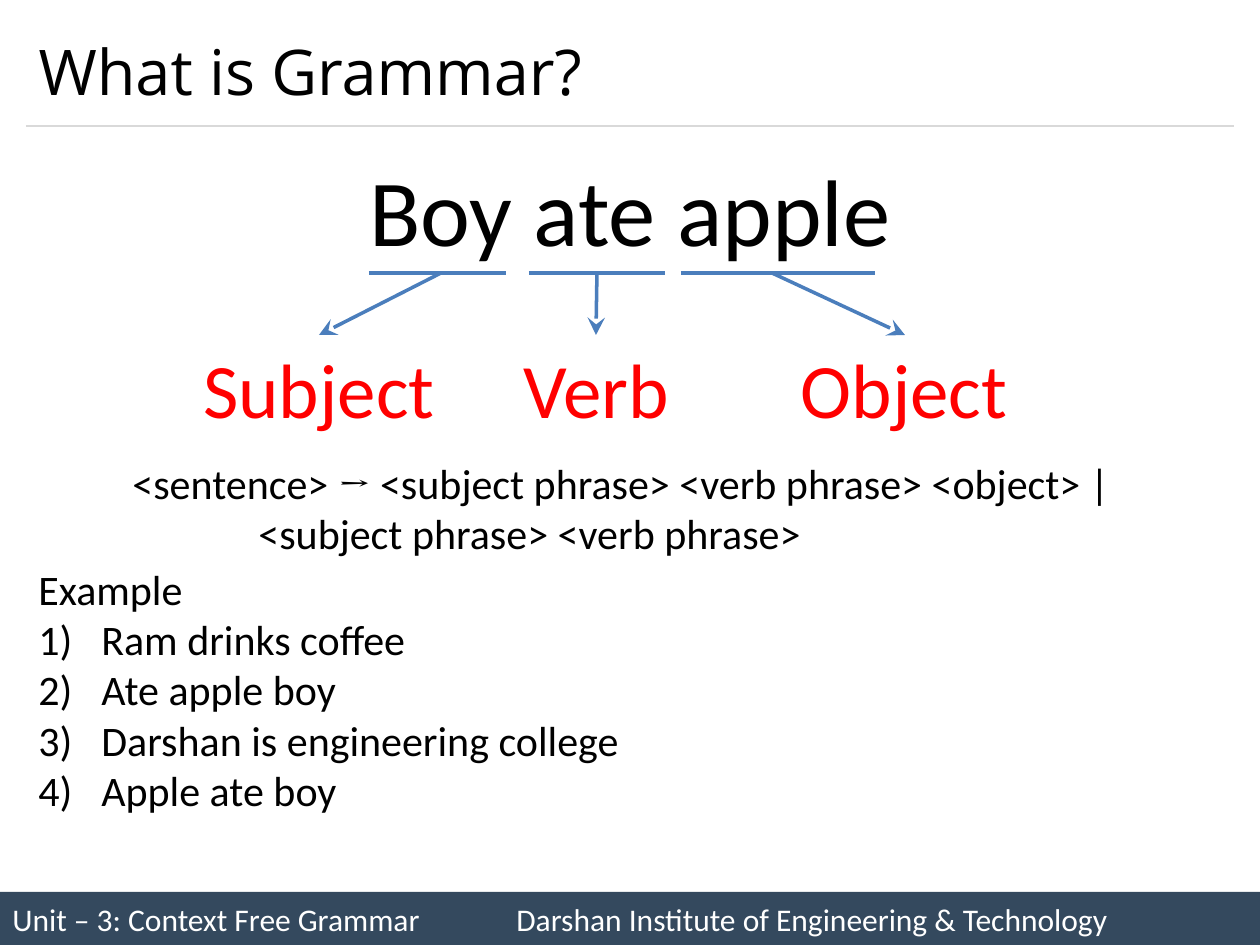
from lxml.etree import SubElement
from pptx import Presentation
from pptx.dml.color import RGBColor
from pptx.enum.shapes import MSO_CONNECTOR, MSO_SHAPE
from pptx.enum.text import MSO_ANCHOR, PP_ALIGN
from pptx.oxml.ns import qn
from pptx.util import Emu, Pt

PX = 914400 / 126
COLOURS = {"text": "000000", "role": "FF0000", "arrow": "4B7EBC",
           "rule": "D9D9D9", "footer": "34495E", "light": "FFFFFF"}
TITLE_FONT, BODY_FONT, SYMBOL_FONT = "Open Sans", "Calibri", "Cambria"
WORD_LINE_Y, ARROW_END_Y, ROLE_Y = 273, 335, 335


def px(*lengths):
    """Turn pixel lengths into EMU."""
    return [Emu(round(length * PX)) for length in lengths]


class SlideWriter:
    """Draws styled elements on one page."""

    def __init__(self, page):
        self.page = page

    def span(self, para, text, size, colour="text", font=BODY_FONT):
        run = para.add_run()
        run.text = text
        run.font.size = Pt(size)
        run.font.name = font
        run.font.color.rgb = RGBColor.from_string(COLOURS[colour])

    def title(self, text, place):
        title = self.page.shapes.title
        title.left, title.top, title.width, title.height = px(*place)
        title.text_frame.vertical_anchor = MSO_ANCHOR.MIDDLE
        para = title.text_frame.paragraphs[0]
        para.alignment = PP_ALIGN.LEFT
        self.span(para, text, 36, font=TITLE_FONT)

    def footer(self, text, place):
        bar = self.page.shapes.add_shape(MSO_SHAPE.RECTANGLE, *px(*place))
        bar.shadow.inherit = False
        bar.fill.solid()
        bar.fill.fore_color.rgb = RGBColor.from_string(COLOURS["footer"])
        bar.line.fill.background()
        bar.text_frame.vertical_anchor = MSO_ANCHOR.MIDDLE
        para = bar.text_frame.paragraphs[0]
        para.alignment = PP_ALIGN.LEFT
        self.span(para, text, 18, "light")

    def text(self, lines, place, size, colour="text", align=PP_ALIGN.LEFT, wrap=False):
        """Add a box; each line is a list of (text, font) pairs."""
        box = self.page.shapes.add_textbox(*px(*place))
        frame = box.text_frame
        frame.word_wrap = wrap
        for index, line in enumerate(lines):
            para = frame.paragraphs[0] if index == 0 else frame.add_paragraph()
            para.alignment = align
            for words, font in line:
                self.span(para, words, size, colour, font)
        return frame

    def number(self, paras):
        for para in paras:
            properties = para._p.get_or_add_pPr()
            indent = px(63)[0]
            properties.set("marL", str(indent))
            properties.set("indent", str(-indent))
            SubElement(properties, qn("a:buFont"), typeface="+mj-lt")
            SubElement(properties, qn("a:buAutoNum"), type="arabicParenR")

    def line(self, start, end, colour, width, arrow=False):
        line = self.page.shapes.add_connector(MSO_CONNECTOR.STRAIGHT, *px(*start, *end))
        line.line.color.rgb = RGBColor.from_string(COLOURS[colour])
        line.line.width = Pt(width)
        if arrow:
            SubElement(line.line._get_or_add_ln(), qn("a:tailEnd"), type="stealth",
                       w="lg", len="lg")
        SubElement(line._element.spPr, qn("a:effectLst"))


def main():
    deck = Presentation()
    deck.slide_width, deck.slide_height = px(1260, 945)
    writer = SlideWriter(deck.slides.add_slide(deck.slide_layouts[5]))

    writer.footer("Unit – 3: Context Free Grammar\t\t"
                  "Darshan Institute of Engineering & Technology", (0, 892, 1260, 53))
    writer.line((26, 126), (1234, 126), "rule", 0.75)
    writer.title("What is Grammar?", (26, 15, 1208, 111))

    writer.text([[("<sentence> ", BODY_FONT), ("→ ", SYMBOL_FONT),
                  ("<subject phrase> <verb phrase> <object> |", BODY_FONT)],
                 [("\t\t<subject phrase> <verb phrase>", BODY_FONT)]],
                (120, 451, 1024, 115), 24)
    writer.text([[("Boy ate apple", BODY_FONT)]], (354, 146, 552, 127), 54,
                align=PP_ALIGN.CENTER)

    # role, box left and width, word line from and to, arrow from and to
    roles = [("Subject", 189, 260, 369, 506, 441, 319),
             ("Verb", 510, 173, 529, 665, 597, 596),
             ("Object", 787, 234, 681, 875, 772, 905)]
    for role, left, width, word_start, word_end, arrow_start, arrow_end in roles:
        writer.text([[(role, BODY_FONT)]], (left, ROLE_Y, width, 106), 44, "role",
                    PP_ALIGN.CENTER)
        writer.line((word_start, WORD_LINE_Y), (word_end, WORD_LINE_Y), "arrow", 2)
        writer.line((arrow_start, WORD_LINE_Y), (arrow_end, ARROW_END_Y), "arrow", 2,
                    arrow=True)

    examples = ["Example", "Ram drinks coffee", "Ate apple boy",
                "Darshan is engineering college", "Apple ate boy"]
    frame = writer.text([[(example, BODY_FONT)] for example in examples],
                        (26, 557, 615, 267), 24, wrap=True)
    writer.number(frame.paragraphs[1:])

    deck.save("out.pptx")


if __name__ == "__main__":
    main()
